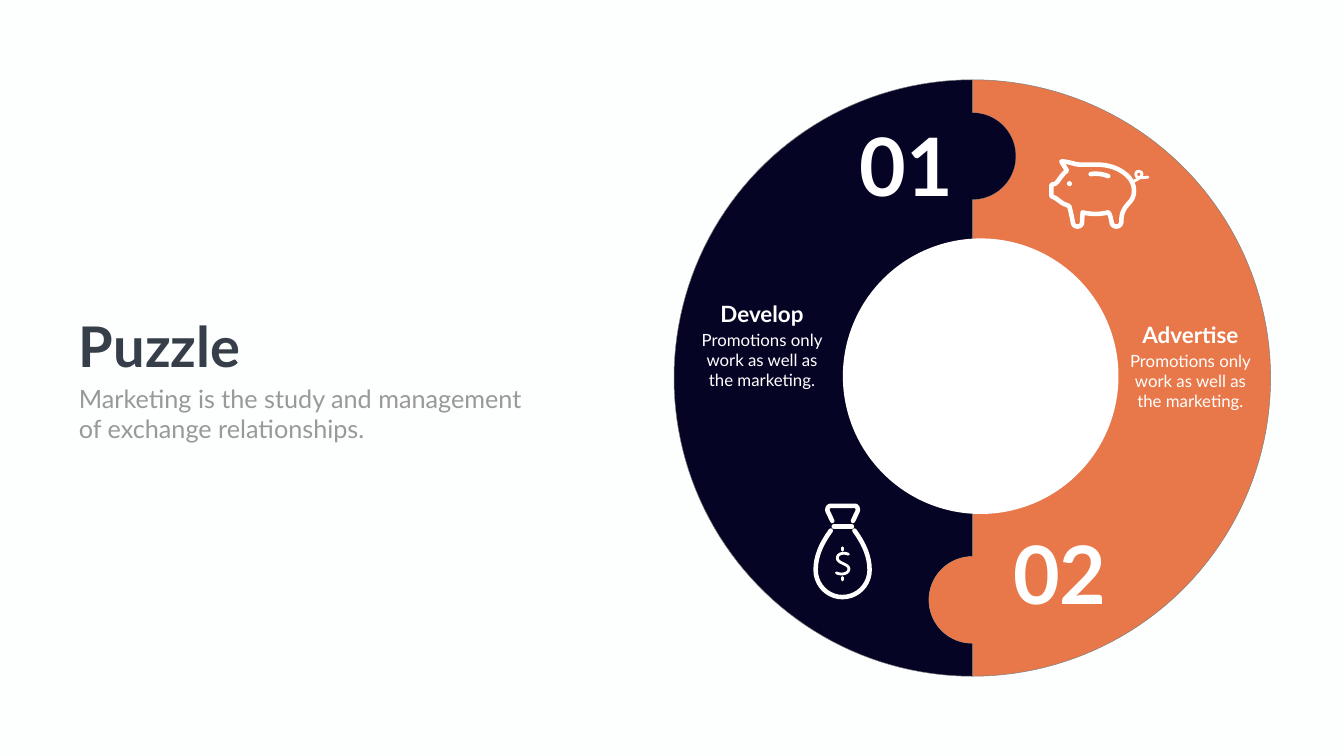
import math
from dataclasses import dataclass

import lxml.etree
import pptx
import pptx.dml.color
import pptx.enum.shapes
import pptx.enum.text
import pptx.oxml.ns
import pptx.util

ALIGN = pptx.enum.text.PP_ALIGN
OVAL = pptx.enum.shapes.MSO_SHAPE.OVAL


@dataclass(frozen=True)
class Theme:
    font: str = "Lato"
    background: str = "FDFFFE"
    title: str = "353E49"
    muted: str = "989998"
    white: str = "FFFFFF"
    navy: str = "060424"
    orange: str = "E87849"
    edge: str = "808080"
    number_size: int = 115
    title_size: int = 80
    subtitle_size: int = 36
    heading_size: int = 32
    body_size: int = 24
    thick: float = 6.5
    thin: float = 4


@dataclass(frozen=True)
class Box:
    x: float
    y: float
    w: float
    h: float

    def share(self, x, y, w, h):
        """Inner box given as shares of this one."""
        return Box(self.x + x * self.w, self.y + y * self.h, w * self.w, h * self.h)

    def emu(self):
        return [pptx.util.Inches(v) for v in (self.x, self.y, self.w, self.h)]


T = Theme()
SLIDE = Box(0, 0, 26.66, 15)

# Icon strokes in hundredths of an inch: a start, then three points per Bezier curve
BAG_STROKES = [
    (T.thick, [(34, 53), (22, 70), (4, 97), (4, 131), (4, 161), (28, 185), (57, 185),
               (87, 185), (111, 161), (111, 131), (111, 97), (93, 70), (81, 53)]),
    (T.thick, [(37, 34), (34, 28), (31, 21), (28, 15), (26, 10), (29, 4), (34, 4),
               (50, 4), (66, 4), (82, 4), (86, 4), (89, 10), (87, 15),
               (84, 21), (81, 28), (78, 34)]),
    (T.thick, [(40, 45), (52, 45), (64, 45), (76, 45)]),
    (T.thin, [(69, 100), (60, 96), (47, 98), (47, 108), (47, 118), (70, 119), (70, 129),
              (70, 138), (57, 142), (45, 137)]),
    (T.thin, [(58, 87), (58, 88), (58, 90), (58, 92)]),
    (T.thin, [(58, 146), (58, 148), (58, 149), (58, 151)]),
]
PIG_STROKES = [
    (T.thick, [(133, 135), (129, 135), (125, 132), (124, 129), (123, 123), (122, 117), (120, 112),
               (119, 109), (117, 107), (116, 107), (108, 109), (100, 110), (92, 110),
               (84, 110), (75, 109), (66, 107), (66, 113), (65, 120), (65, 126),
               (65, 132), (61, 135), (56, 135), (51, 135), (48, 132), (47, 128),
               (45, 117), (43, 107), (40, 96), (38, 92), (30, 92), (24, 87),
               (18, 83), (14, 79), (9, 77), (6, 76), (4, 75), (4, 72),
               (4, 67), (4, 61), (4, 56), (4, 52), (6, 51), (9, 51),
               (17, 50), (20, 36), (35, 24), (32, 19), (28, 13), (24, 6),
               (30, 5), (44, 9), (52, 11), (60, 13), (75, 12), (92, 12),
               (113, 12), (132, 17), (146, 27), (161, 37), (168, 50), (168, 64),
               (168, 73), (165, 81), (160, 86), (154, 93), (148, 99), (145, 109),
               (143, 115), (143, 121), (143, 126), (142, 132), (138, 135), (133, 135)]),
    (T.thin, [(162, 47), (170, 45), (188, 36), (183, 28), (179, 24), (170, 24), (172, 34),
              (174, 40), (187, 38), (196, 37)]),
    (T.thick, [(82, 31), (95, 29), (106, 31), (117, 35)]),
]


def rgb(value):
    return pptx.dml.color.RGBColor.from_string(value)


def paint(sp, fill=None, line=None, width=0.75):
    sp.shadow.inherit = False
    if fill:
        sp.fill.solid()
        sp.fill.fore_color.rgb = rgb(fill)
    else:
        sp.fill.background()
    if line:
        sp.line.color.rgb = rgb(line)
        sp.line.width = pptx.util.Pt(width)
    else:
        sp.line.fill.background()


def add_outline(s, points, close):
    emu = [(pptx.util.Inches(x), pptx.util.Inches(y)) for x, y in points]
    builder = s.shapes.build_freeform(*emu[0])
    builder.add_line_segments(emu[1:], close=close)
    return builder.convert_to_shape()


def add_circle(s, cx, cy, radius, color):
    box = Box(cx - radius, cy - radius, 2 * radius, 2 * radius)
    paint(s.shapes.add_shape(OVAL, *box.emu()), color)


def write(sp, text, size, color, bold=False, align=ALIGN.CENTER, wrap=True):
    tf = sp.text_frame
    tf.word_wrap = wrap
    tf.auto_size = pptx.enum.text.MSO_AUTO_SIZE.NONE
    tf.vertical_anchor = pptx.enum.text.MSO_ANCHOR.TOP
    tf.text = text
    for p in tf.paragraphs:
        p.alignment = align
        p.font.name, p.font.size, p.font.bold = T.font, pptx.util.Pt(size), bold
        p.font.color.rgb = rgb(color)


def add_text(s, box, *args, **kwargs):
    write(s.shapes.add_textbox(*box.emu()), *args, **kwargs)


def arc(cx, cy, radius, start, end, steps=90):
    angles = [math.radians(start + (end - start) * i / steps) for i in range(steps + 1)]
    return [(cx + radius * math.cos(a), cy + radius * math.sin(a)) for a in angles]


def bezier(points, steps=10):
    curve_points = [points[0]]
    for i in range(0, len(points) - 1, 3):
        curve = points[i:i + 4]
        for n in range(1, steps + 1):
            t = n / steps
            weights = ((1 - t) ** 3, 3 * t * (1 - t) ** 2, 3 * t * t * (1 - t), t ** 3)
            curve_points.append([sum(w * p[k] for w, p in zip(weights, curve)) for k in (0, 1)])
    return curve_points


def add_icon(s, x, y, strokes):
    for width, points in strokes:
        outline = [(x + px / 100, y + py / 100) for px, py in bezier(points)]
        sp = add_outline(s, outline, close=points[0] == points[-1])
        paint(sp, line=T.white, width=width)
        ln = sp.element.spPr.get_or_add_ln()
        ln.set("cap", "rnd")
        lxml.etree.SubElement(ln, pptx.oxml.ns.qn("a:round"))


def add_heading(s, box):
    title = s.shapes.title
    title.left, title.top, title.width, title.height = box.share(0, 0, 0.36, 0.53).emu()
    write(title, "Puzzle", T.title_size, T.title, True, ALIGN.LEFT, wrap=False)
    add_text(s, box.share(0, 0.52, 1, 0.48),
             "Marketing is the study and management\nof exchange relationships.",
             T.subtitle_size, T.muted, align=ALIGN.LEFT)


def add_puzzle_ring(s, box):
    d = box.w
    cx, cy = box.x + d / 2, box.y + d / 2
    knob_y, knob_r = 0.372 * d, 0.0727 * d

    # Two halves, each the other turned by 180 degrees
    half = arc(0, 0, d / 2, -90, 90) + arc(0, -knob_y, knob_r, 90, -90)
    halves = ((1, T.orange), (-1, T.navy))
    for turn, color in halves:
        outline = [(cx + turn * x, cy + turn * y) for x, y in half]
        paint(add_outline(s, outline, close=True), color, T.edge)
    for turn, color in halves:
        add_circle(s, cx, cy + turn * knob_y, knob_r, color)
    add_circle(s, cx + 0.014 * d, cy - 0.003 * d, 0.231 * d, T.white)

    # Icons
    add_icon(s, box.x + 0.234 * d, box.y + 0.711 * d, BAG_STROKES)
    pig_x, pig_y = box.x + 0.629 * d, box.y + 0.132 * d
    add_icon(s, pig_x, pig_y, PIG_STROKES)
    add_circle(s, pig_x + 0.4, pig_y + 0.5, 0.05, T.white)

    # Numbers and labels
    for number, x, y in (("01", 0.302, 0.057), ("02", 0.559, 0.74)):
        add_text(s, box.share(x, y, 0.175, 0.172), number,
                 T.number_size, T.white, True, wrap=False)
    for heading, x, y in (("Develop", -0.023, 0.366), ("Advertise", 0.695, 0.401)):
        label = box.share(x, y, 0.341, 0.16)
        add_text(s, label.share(0, 0, 1, 0.34), heading, T.heading_size, T.white, True)
        add_text(s, label.share(0, 0.307, 1, 0.693),
                 "Promotions only\nwork as well as\nthe marketing.", T.body_size, T.white)


def main():
    prs = pptx.Presentation()
    prs.slide_width, prs.slide_height = SLIDE.emu()[2:]
    s = prs.slides.add_slide(prs.slide_layouts[5])
    s.background.fill.solid()
    s.background.fill.fore_color.rgb = rgb(T.background)
    add_puzzle_ring(s, Box(0.5015 * SLIDE.w, 0.1055 * SLIDE.h, 0.789 * SLIDE.h, 0.789 * SLIDE.h))
    add_heading(s, SLIDE.share(0.055, 0.409, 0.365, 0.182))
    prs.save("out.pptx")


if __name__ == "__main__":
    main()
